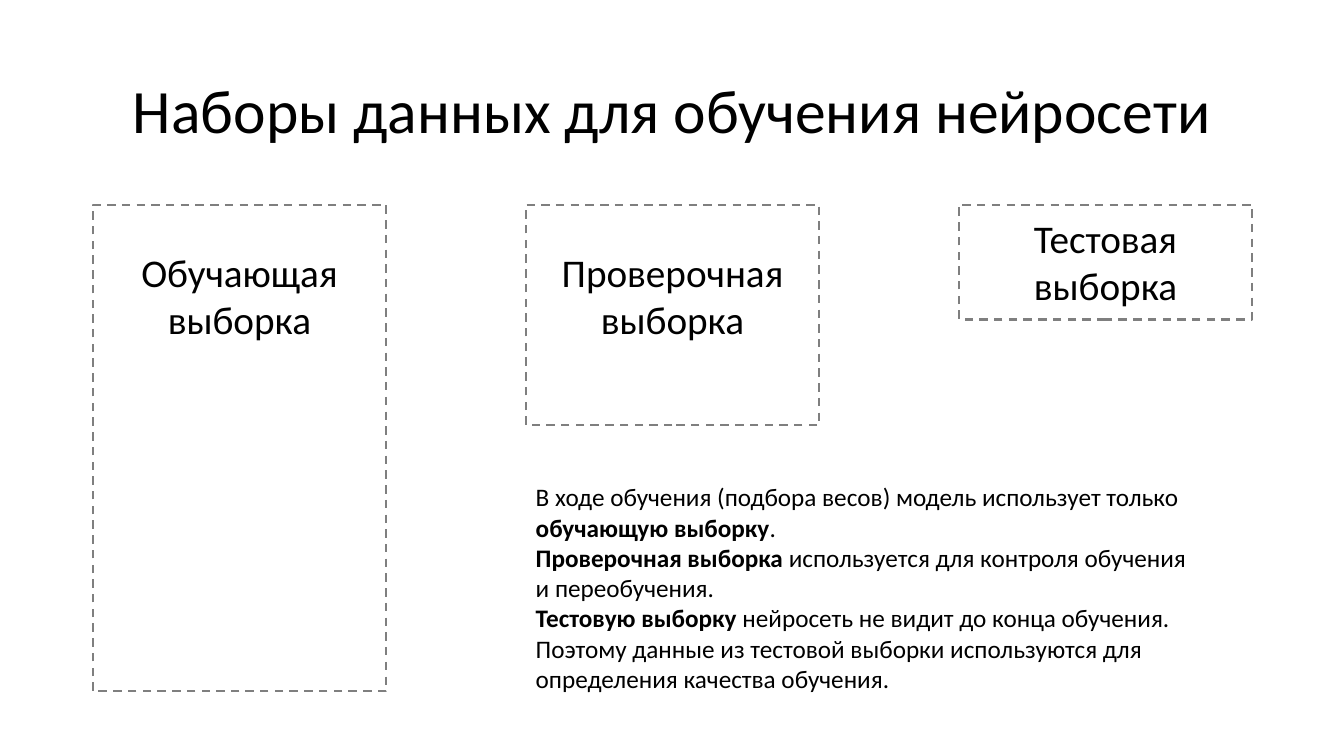
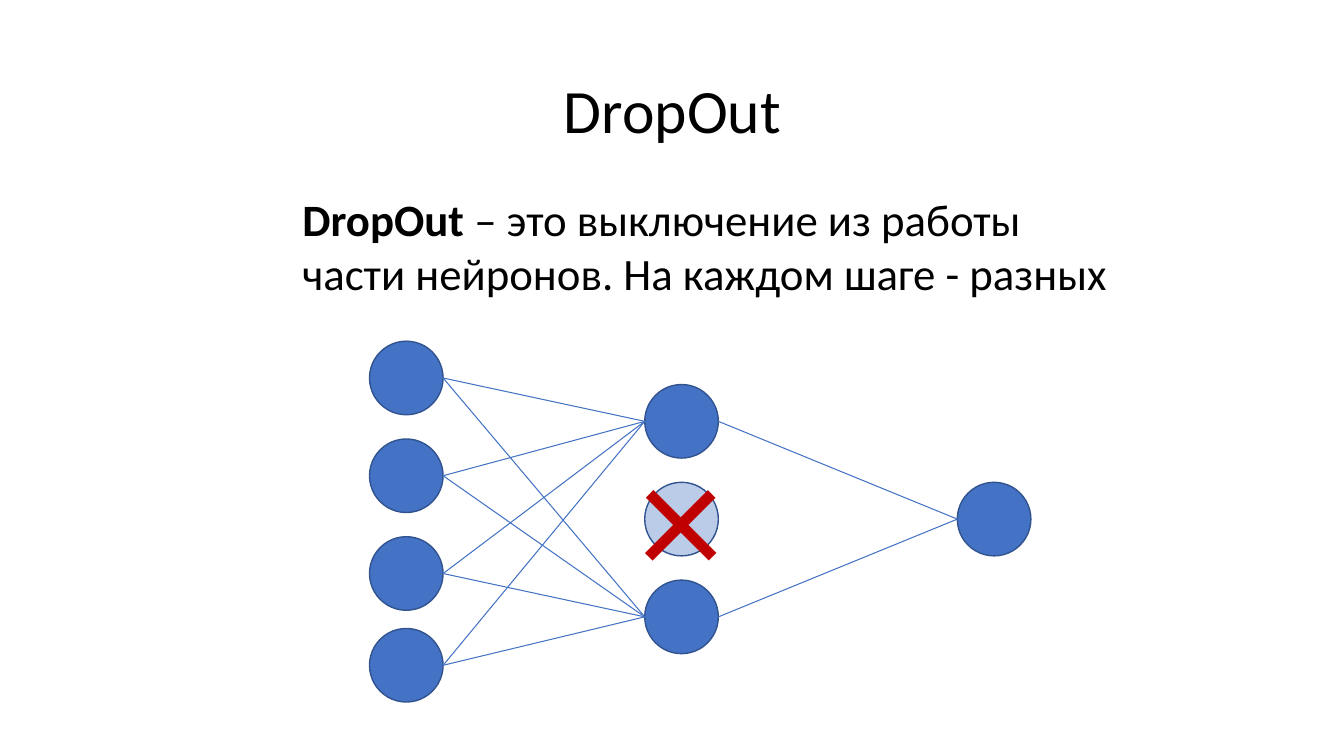
from itertools import product

from lxml.etree import SubElement
from pptx import Presentation
from pptx.dml.color import RGBColor
from pptx.enum.dml import MSO_LINE
from pptx.enum.shapes import MSO_CONNECTOR, MSO_SHAPE
from pptx.enum.text import MSO_ANCHOR, MSO_AUTO_SIZE, PP_ALIGN
from pptx.oxml.ns import qn
from pptx.util import Inches, Pt

FONT = "Calibri"
BLACK = RGBColor(0x00, 0x00, 0x00)
GREY = RGBColor(0x7F, 0x7F, 0x7F)
BLUE = RGBColor(0x44, 0x72, 0xC4)
DARK_BLUE = RGBColor(0x31, 0x53, 0x8F)
RED = RGBColor(0xC0, 0x00, 0x00)

SLIDE_WIDTH, SLIDE_HEIGHT = 13.33, 7.5
MARGIN = 0.92
CONTENT_WIDTH = 11.5

COLUMN_WIDTH = 2.91
COLUMN_STEP = (CONTENT_WIDTH - COLUMN_WIDTH) / 2
SETS_TOP = 2.03

NEURON_SIZE = 0.73
NEURON_STEP = 0.97
INPUT_X, HIDDEN_X, OUTPUT_X = 4.03, 6.76, 9.86
HIDDEN_MIDDLE = 5.15
INPUT_YS = [3.75, 3.75 + NEURON_STEP, 3.75 + 2 * NEURON_STEP, 6.6]


def box(left, top, width, height):
    return [Inches(length) for length in (left, top, width, height)]


def style(paragraph, size, color=BLACK, align=PP_ALIGN.LEFT):
    paragraph.alignment = align
    paragraph.font.name = FONT
    paragraph.font.size = Pt(size)
    paragraph.font.color.rgb = color


def add_titled_slide(presentation, title):
    slide = presentation.slides.add_slide(presentation.slide_layouts[5])
    shape = slide.shapes.title
    shape.left, shape.top, shape.width, shape.height = box(MARGIN, 0.4, CONTENT_WIDTH, 1.45)
    frame = shape.text_frame
    frame.text = title
    frame.auto_size = MSO_AUTO_SIZE.NONE
    frame.vertical_anchor = MSO_ANCHOR.MIDDLE
    frame.paragraphs[0].line_spacing = 0.9
    style(frame.paragraphs[0], 44, align=PP_ALIGN.CENTER)
    return slide


def add_text(slide, place, parts, size, color=BLACK, align=PP_ALIGN.LEFT, wrap=True):
    """Add one paragraph; parts are (text, bold) pairs, with \\n as a line break."""
    frame = slide.shapes.add_textbox(*box(*place)).text_frame
    frame.word_wrap = wrap
    frame.auto_size = MSO_AUTO_SIZE.SHAPE_TO_FIT_TEXT
    paragraph = frame.paragraphs[0]
    style(paragraph, size, color, align)
    for text, bold in parts:
        for index, line in enumerate(text.split("\n")):
            if index:
                paragraph.add_line_break()
            if line:
                run = paragraph.add_run()
                run.text = line
                if bold:
                    run.font.bold = True


def add_data_set(slide, column, height, caption, caption_width, caption_offset):
    left = MARGIN + column * COLUMN_STEP
    caption_left = left + (COLUMN_WIDTH - caption_width) / 2
    add_text(slide, (caption_left, SETS_TOP + caption_offset, caption_width, 1.04),
             [(caption, False)], 28, align=PP_ALIGN.CENTER, wrap=False)
    frame = slide.shapes.add_shape(
        MSO_SHAPE.RECTANGLE, *box(left, SETS_TOP, COLUMN_WIDTH, height))
    frame.shadow.inherit = False
    frame.fill.background()
    frame.line.color.rgb = GREY
    frame.line.width = Pt(1.5)
    frame.line.dash_style = MSO_LINE.DASH


def add_neuron(slide, x, y, opacity=None):
    """Add a circle centred on (x, y); opacity is a percentage."""
    neuron = slide.shapes.add_shape(
        MSO_SHAPE.OVAL,
        *box(x - NEURON_SIZE / 2, y - NEURON_SIZE / 2, NEURON_SIZE, NEURON_SIZE))
    neuron.shadow.inherit = False
    neuron.fill.solid()
    neuron.fill.fore_color.rgb = BLUE
    neuron.line.color.rgb = DARK_BLUE
    neuron.line.width = Pt(1)
    if opacity is not None:
        color = neuron.fill._xPr.find(qn("a:solidFill"))[0]
        SubElement(color, qn("a:alpha")).set("val", str(opacity * 1000))


def link_layers(slide, from_x, from_ys, to_x, to_ys):
    """Join the right side of each first neuron to the left side of each second one."""
    radius = NEURON_SIZE / 2
    for from_y, to_y in product(from_ys, to_ys):
        link = slide.shapes.add_connector(
            MSO_CONNECTOR.STRAIGHT, *box(from_x + radius, from_y, to_x - radius, to_y))
        link.line.color.rgb = BLUE
        link.line.width = Pt(0.75)
        SubElement(link._element.spPr, qn("a:effectLst"))


def build_data_sets(presentation):
    slide = add_titled_slide(presentation, "Наборы данных для обучения нейросети")
    data_sets = [
        (4.83, "Обучающая\nвыборка", 2.17, 0.38),
        (2.19, "Проверочная\nвыборка", 2.42, 0.38),
        (1.14, "Тестовая\nвыборка", 1.66, 0.05),
    ]
    for column, data_set in enumerate(data_sets):
        add_data_set(slide, column, *data_set)
    add_text(slide, (MARGIN + COLUMN_STEP, 4.73, 6.72, 2.22), [
        ("В ходе обучения (подбора весов) модель использует только\n", False),
        ("обучающую выборку", True),
        (".\n", False),
        ("Проверочная выборка", True),
        (" используется для контроля обучения\nи переобучения.\n", False),
        ("Тестовую выборку", True),
        (" нейросеть не видит до конца обучения.\n"
         "Поэтому данные из тестовой выборки используются для\n"
         "определения качества обучения.", False),
    ], 18)


def build_dropout(presentation):
    slide = add_titled_slide(presentation, "DropOut")
    add_text(slide, (2.9, 1.85, 8.45, 1.18), [
        ("DropOut", True),
        (" – это выключение из работы части нейронов. На каждом шаге - разных", False),
    ], 32)

    active_ys = [HIDDEN_MIDDLE - NEURON_STEP, HIDDEN_MIDDLE + NEURON_STEP]
    layers = [(INPUT_X, INPUT_YS), (HIDDEN_X, active_ys), (OUTPUT_X, [HIDDEN_MIDDLE])]
    for x, ys in layers:
        for y in ys:
            add_neuron(slide, x, y)
    add_neuron(slide, HIDDEN_X, HIDDEN_MIDDLE, opacity=36)
    for start, end in zip(layers, layers[1:]):
        link_layers(slide, *start, *end)
    add_text(slide, (6.24, 4.02, 1.04, 2.12), [("×", False)], 120, RED)


def main():
    presentation = Presentation()
    presentation.slide_width = Inches(SLIDE_WIDTH)
    presentation.slide_height = Inches(SLIDE_HEIGHT)
    build_data_sets(presentation)
    build_dropout(presentation)
    presentation.save("out.pptx")


if __name__ == "__main__":
    main()
